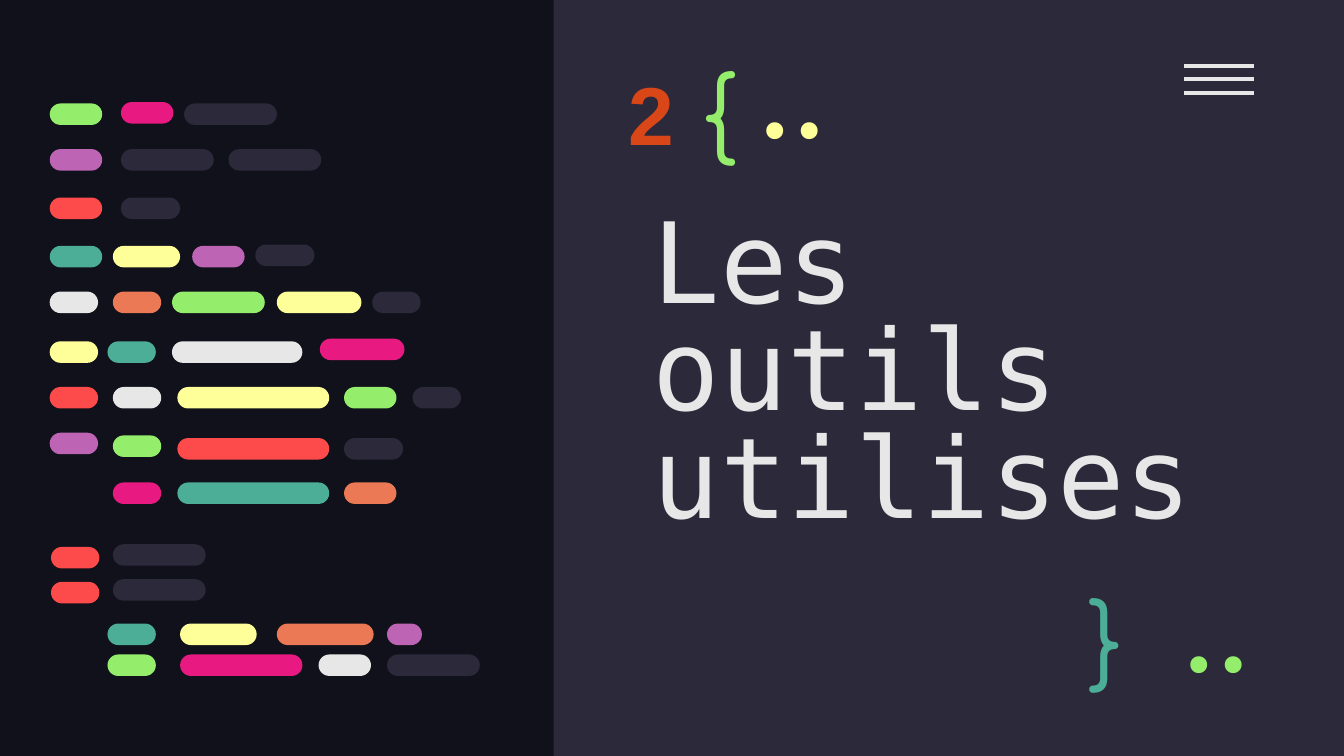
from lxml.etree import SubElement
from pptx import Presentation
from pptx.dml.color import RGBColor
from pptx.enum.shapes import MSO_CONNECTOR as Connector, MSO_SHAPE as Shape
from pptx.enum.text import MSO_ANCHOR as Anchor, PP_ALIGN as Align
from pptx.oxml.ns import qn
from pptx.util import Inches, Pt

CELL = 0.1
COLUMNS, ROWS = 100, 56.25
BAR_HEIGHT = 1.6
NIGHT, SLATE, WHITE = "10111A", "2C293A", "E7E7E7"
GREEN, PINK, PURPLE, RED = "94EE6B", "E81A81", "BD64B5", "FD4A4A"
TEAL, YELLOW, ORANGE, RUST = "4CAE97", "FFFF99", "EC7955", "D94618"

CODE_ROWS = {
    7.6: [(9, 3.9, PINK)],
    7.7: [(3.7, 3.9, GREEN), (13.7, 6.9, SLATE)],
    11.1: [(3.7, 3.9, PURPLE), (9, 6.9, SLATE), (17, 6.9, SLATE)],
    14.7: [(3.7, 3.9, RED), (9, 4.4, SLATE)],
    18.2: [(19, 4.4, SLATE)],
    18.3: [(3.7, 3.9, TEAL), (8.4, 5, YELLOW), (14.3, 3.9, PURPLE)],
    21.7: [(3.7, 3.6, WHITE), (8.4, 3.6, ORANGE), (12.8, 6.9, GREEN),
           (20.6, 6.3, YELLOW), (27.7, 3.6, SLATE)],
    25.2: [(23.8, 6.3, PINK)],
    25.4: [(3.7, 3.6, YELLOW), (8, 3.6, TEAL), (12.8, 9.7, WHITE)],
    28.8: [(3.7, 3.6, RED), (8.4, 3.6, WHITE), (13.2, 11.3, YELLOW),
           (25.6, 3.9, GREEN), (30.7, 3.6, SLATE)],
    32.2: [(3.7, 3.6, PURPLE)],
    32.4: [(8.4, 3.6, GREEN)],
    32.6: [(13.2, 11.3, RED), (25.6, 4.4, SLATE)],
    35.9: [(8.4, 3.6, PINK), (13.2, 11.3, TEAL), (25.6, 3.9, ORANGE)],
    40.5: [(8.4, 6.9, SLATE)],
    40.7: [(3.8, 3.6, RED)],
    43.1: [(8.4, 6.9, SLATE)],
    43.3: [(3.8, 3.6, RED)],
    46.4: [(8, 3.6, TEAL), (13.4, 5.7, YELLOW), (20.6, 7.2, ORANGE), (28.8, 2.6, PURPLE)],
    48.7: [(8, 3.6, GREEN), (13.4, 9.1, PINK), (23.7, 3.9, WHITE), (28.8, 6.9, SLATE)],
}


def color(value):
    return RGBColor.from_string(value)


def grid(*cells):
    return [Inches(cell * CELL) for cell in cells]


def assign(target, values):
    for name, value in values.items():
        setattr(target, name, value)


class Painter:
    frame_format = {"word_wrap": True, **dict.fromkeys(
        ("margin_left", "margin_top", "margin_right", "margin_bottom"), Inches(0.1))}

    def __init__(self, deck):
        self.page = deck.slides.add_slide(deck.slide_layouts[6])

    def background(self, fill):
        self.page.background.fill.solid()
        self.page.background.fill.fore_color.rgb = color(fill)

    def block(self, kind, place, fill):
        shape = self.page.shapes.add_shape(kind, *grid(*place))
        shape.shadow.inherit = False
        shape.fill.solid()
        shape.fill.fore_color.rgb = color(fill)
        shape.line.fill.background()
        return shape

    def bar(self, left, top, width, fill):
        shape = self.block(Shape.ROUNDED_RECTANGLE, (left, top, width, BAR_HEIGHT), fill)
        shape.adjustments[0] = 0.5

    def rule(self, left, right, row, stroke):
        line = self.page.shapes.add_connector(
            Connector.STRAIGHT, *grid(left, row, right, row))
        line.line.width = Pt(2.25)
        line.line.color.rgb = color(stroke)
        SubElement(line._element.spPr, qn("a:effectLst"))

    def text(self, words, place, font, size, ink, anchor=Anchor.MIDDLE,
             align=Align.LEFT, spacing=1.0, bold=False):
        box = self.page.shapes.add_textbox(*grid(*place))
        assign(box.text_frame, {**self.frame_format, "vertical_anchor": anchor})
        para = box.text_frame.paragraphs[0]
        assign(para, {"alignment": align, "line_spacing": spacing})
        span = para.add_run()
        span.text = words
        assign(span.font, {"name": font, "size": Pt(size), "bold": bold})
        span.font.color.rgb = color(ink)


def main():
    deck = Presentation()
    deck.slide_width, deck.slide_height = grid(COLUMNS, ROWS)
    painter = Painter(deck)
    painter.background(NIGHT)
    painter.block(Shape.RECTANGLE, (41.2, 0, COLUMNS - 41.2, ROWS), SLATE)
    for row in (4.9, 5.9, 6.9):
        painter.rule(88.1, 93.3, row, WHITE)

    painter.text("Les outils utilises", (47.6, 14.3, 44.6, 27.7),
                 "DejaVu Sans Mono", 60, WHITE, spacing=0.8)
    for top, bars in CODE_ROWS.items():
        for left, width, fill in bars:
            painter.bar(left, top, width, fill)

    for brace, place, ink in (("{", (51.2, 2.8, 7.7, 9.5), GREEN),
                              ("}", (80, 42, 5.7, 8.3), TEAL)):
        painter.text(brace, place, "Comfortaa", 50, ink, anchor=Anchor.TOP)
    for left, top, ink in ((85.1, 44.3, GREEN), (53.5, 4.5, YELLOW)):
        painter.text("..", (left, top, 10.7, 6), "Fira Code", 50, ink, align=Align.RIGHT)
    painter.text("2", (45.8, 3.4, 9, 10), "Arial", 44, RUST, bold=True)
    deck.save("out.pptx")


if __name__ == "__main__":
    main()
